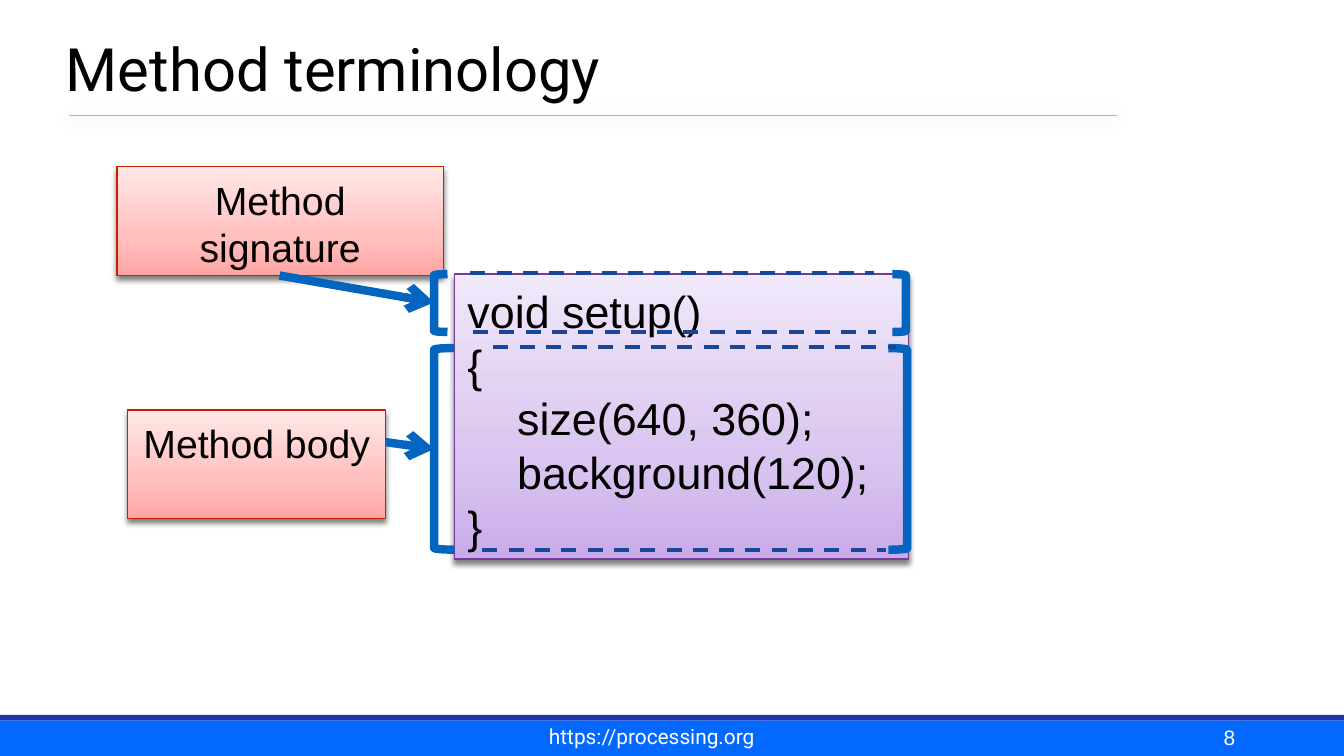
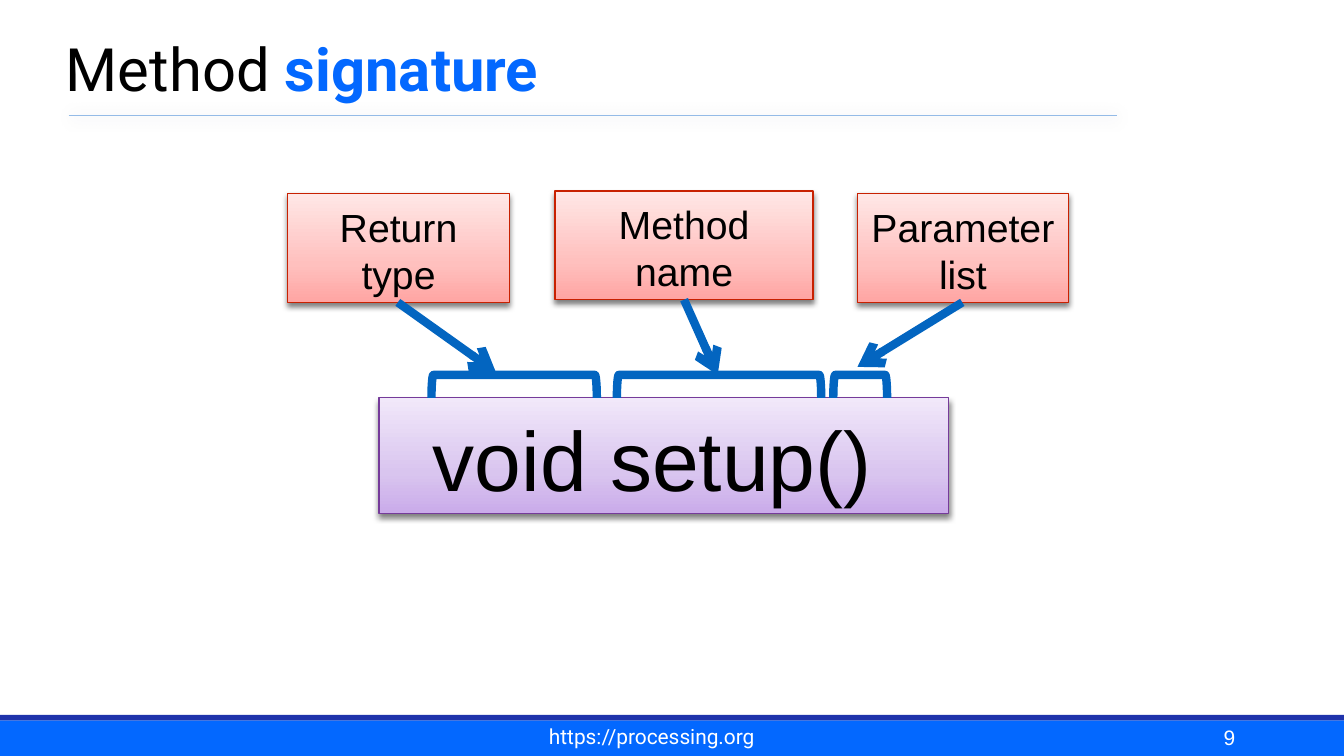
from copy import deepcopy

from lxml import etree
from pptx import Presentation
from pptx.dml.color import RGBColor
from pptx.enum.dml import MSO_LINE
from pptx.enum.shapes import MSO_CONNECTOR, MSO_SHAPE
from pptx.enum.text import MSO_ANCHOR, PP_ALIGN
from pptx.oxml.ns import qn
from pptx.util import Pt

PX = 9144  # 100 px to the inch
WIDE = 1000
RECT, BRACE = MSO_SHAPE.RECTANGLE, MSO_SHAPE.LEFT_BRACKET
LINE, DASH = MSO_CONNECTOR.STRAIGHT, MSO_LINE.DASH
LEFT, MID, RIGHT = PP_ALIGN.LEFT, PP_ALIGN.CENTER, PP_ALIGN.RIGHT
TOP, BASE = MSO_ANCHOR.TOP, MSO_ANCHOR.BOTTOM

HUES = {
    "black": "000000", "white": "FFFFFF", "blue": "0368FF", "navy": "1F33AB",
    "rule": "94BBE7", "haze": "003D62", "mark": "0365C0", "dash": "194699",
    "plum": "753B9A", "red": "C82101",
}
FADES = {
    "plum": [(0, "CAABEA"), (0.35, "D9C5EF"), (1, "F1E8FA")],
    "red": [(0, "FFA5A3"), (0.35, "FFC0BE"), (1, "FFE7E6")],
}
# Shadow: colour, opacity in %, blur and distance in pt, angle in degrees
DROP = ("black", 50, 3, 2, 90)
GLOW = ("haze", 20, 8, 1, 45)
LABEL_H = 81


def rgb(name):
    return RGBColor.from_string(HUES[name])


def emu(*nums):
    return [round(n * PX) for n in nums]


def shade(shape, look=None):
    """Give a shape the shadow described by look, or none at all."""
    fx = etree.SubElement(shape._element.spPr, qn("a:effectLst"))
    if look:
        hue, alpha, blur, dist, turn = look
        drop = etree.SubElement(fx, qn("a:outerShdw"), {
            "blurRad": str(Pt(blur)), "dist": str(Pt(dist)),
            "dir": str(turn * 60000), "rotWithShape": "0"})
        tint = etree.SubElement(drop, qn("a:srgbClr"), val=HUES[hue])
        etree.SubElement(tint, qn("a:alpha"), val=str(alpha * 1000))


def write(shape, paras, size, face="Arial", hue="black", align=LEFT,
          anchor=TOP, pad=(10, 7, 10, 5), pitch=None):
    """Fill a shape with paragraphs, each a list of (text, format) runs."""
    frame = shape.text_frame
    left, top, right, low = emu(*pad)
    form = {"word_wrap": True, "vertical_anchor": anchor, "margin_left": left,
            "margin_top": top, "margin_right": right, "margin_bottom": low}
    for key, val in form.items():
        setattr(frame, key, val)
    for num, runs in enumerate(paras):
        para = frame.add_paragraph() if num else frame.paragraphs[0]
        para.alignment = align
        if pitch:
            para.line_spacing = Pt(pitch)
        for text, more in runs:
            run = para.add_run()
            run.text = text
            style = {"name": face, "size": Pt(size), "bold": False, **more}
            tone = style.pop("hue", hue)
            for key, val in style.items():
                setattr(run.font, key, val)
            run.font.color.rgb = rgb(tone)


def note(slide, box, paras, size, **form):
    write(slide.shapes.add_textbox(*emu(*box)), paras, size, **form)


def band(slide, box, hue):
    shape = slide.shapes.add_shape(RECT, *emu(*box))
    shape.shadow.inherit = False
    shape.fill.solid()
    shape.fill.fore_color.rgb = rgb(hue)
    shape.line.fill.background()


def stroke(slide, start, end, hue="mark", width=4.5, dash=None, head=False,
           look=None):
    line = slide.shapes.add_connector(LINE, *emu(*start, *end))
    line.line.color.rgb = rgb(hue)
    line.line.width = Pt(width)
    if dash:
        line.line.dash_style = dash
    if head:
        etree.SubElement(line.line._get_or_add_ln(), qn("a:tailEnd"),
                         type="arrow")
    shade(line, look)


def card(slide, box, hue, lines, size, align=MID):
    """Draw a text box that fades from light at the top to dark below."""
    shape = slide.shapes.add_shape(RECT, *emu(*box))
    shape.fill.gradient()
    shape.fill.gradient_angle = 90
    stops = shape._element.spPr.find(".//" + qn("a:gsLst"))
    stops.append(deepcopy(stops[0]))
    for stop, (spot, tint) in zip(shape.fill.gradient_stops, FADES[hue]):
        stop.position = spot
        stop.color.rgb = RGBColor.from_string(tint)
    shape.line.color.rgb = rgb(hue)
    shape.line.width = Pt(0.75)
    shade(shape, DROP)
    write(shape, [[(line, {})] for line in lines], size, align=align,
          pitch=round(size * 1.2, 1))


def label(slide, x, y, wide, text, tip):
    """Draw a red label and an arrow from its bottom centre to tip."""
    card(slide, (x, y, wide, LABEL_H), "red", [text], 21)
    stroke(slide, (x + wide // 2, y + LABEL_H), tip, head=True)


def brace(slide, x, y, wide, high, turn=0):
    """Draw a bracket that covers the given box after its turn."""
    if turn == 90:
        x, y = x + (wide - high) / 2, y + (high - wide) / 2
        wide, high = high, wide
    shape = slide.shapes.add_shape(BRACE, *emu(x, y, wide, high))
    shape.rotation = turn
    shape.shadow.inherit = False
    shape.fill.background()
    shape.line.color.rgb = rgb("mark")
    shape.line.width = Pt(4.5)


def base(deck, title, page):
    """Add a slide with its title, rule, bands and footer."""
    slide = deck.slides.add_slide(deck.slide_layouts[6])
    band(slide, (0, 536, WIDE, 26.5), "blue")
    band(slide, (0, 532, WIDE, 4), "navy")
    stroke(slide, (51, 86), (831, 86), "rule", 1, look=GLOW)
    note(slide, (43, 0, 850, 83), [title], 32, face="Roboto", anchor=BASE,
         pad=(6, 6, 6, 6))
    note(slide, (352, 535, 266, 26), [[("https://processing.org", {})]], 11.2,
         face="Roboto", hue="white", align=MID, anchor=BASE, pad=(8, 4, 8, 4))
    note(slide, (717, 533, 208, 31), [[(str(page), {})]], 11.2, hue="white",
         align=RIGHT, anchor=BASE, pad=(6, 6, 6, 6))
    return slide


def terms(slide, x, y, wide, high):
    """Draw the method in the box, with its signature and body marked."""
    code = ["void setup()", "{", "    size(640, 360);",
            "    background(120);", "}"]
    card(slide, (x, y, wide, high), "plum", code, 24, LEFT)
    label(slide, x - 251, y - 80, 243, "Method signature", (x - 15, y + 21))
    card(slide, (x - 243, y + 101, 192, LABEL_H), "red", ["Method body"], 21)
    stroke(slide, (x - 51, y + 125), (x - 15, y + 130), head=True)
    for dx, dy, w, h, turn in [(-15, 0, 10, 43, 0), (-15, 55, 15, 150, 0),
                               (323, 55, 14, 150, 180), (326, 0, 10, 43, 180)]:
        brace(slide, x + dx, y + dy, w, h, turn)
    for dx, dy in [(14, 43), (12, -1), (21, 205), (29, 54)]:
        stroke(slide, (x + dx, y + dy), (x + dx + 300, y + dy), "dash", 2, DASH)


def parts(slide, x, y, wide, high):
    """Draw the signature in the box, with its three parts named above."""
    card(slide, (x, y, wide, high), "plum", ["void setup() "], 45)
    for text, dx, dy, w, tip, span in [
            ("Return type", -68, -152, 165, (87, -19), (39, 123)),
            ("Method name", 131, -154, 192, (252, -17), (177, 152)),
            ("Parameter list", 356, -152, 157, (356, -23), (338, 40))]:
        label(slide, x + dx, y + dy, w, text, (x + tip[0], y + tip[1]))
        brace(slide, x + span[0], y - 17, span[1], 17, 90)


def main():
    deck = Presentation()
    deck.slide_width = WIDE * PX
    deck.slide_height = WIDE * PX * 9 // 16
    terms(base(deck, [("Method terminology", {})], 8), 338, 204, 338, 212)
    title = [("Method ", {}), ("signature", {"hue": "blue", "bold": True})]
    parts(base(deck, title, 9), 282, 296, 424, 86)
    deck.save("out.pptx")


if __name__ == "__main__":
    main()
